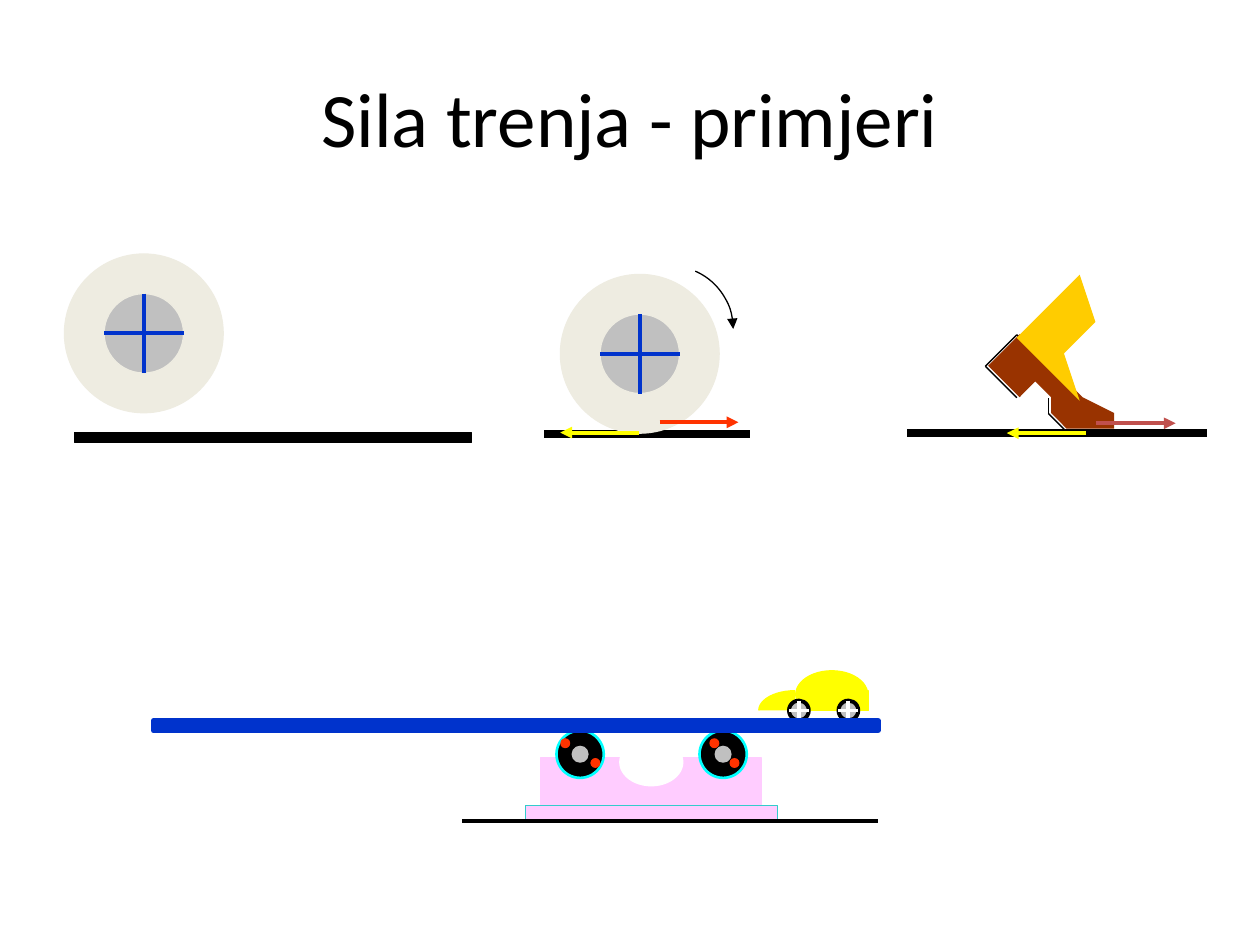
from dataclasses import dataclass

from lxml import etree
from pptx import Presentation
from pptx.dml.color import RGBColor
from pptx.enum.shapes import MSO_CONNECTOR, MSO_SHAPE
from pptx.enum.text import MSO_ANCHOR, PP_ALIGN
from pptx.oxml.ns import qn
from pptx.util import Pt

RECT, OVAL, ARC = MSO_SHAPE.RECTANGLE, MSO_SHAPE.OVAL, MSO_SHAPE.ARC
STRAIGHT = MSO_CONNECTOR.STRAIGHT
MIDDLE, CENTER = MSO_ANCHOR.MIDDLE, PP_ALIGN.CENTER


@dataclass(frozen=True)
class Theme:
    font: str = "Calibri"
    title_size: int = 44
    thin: float = 0.75
    rim: float = 1.5
    medium: float = 2.25
    beam: float = 3
    ground: float = 4.5
    black: str = "000000"
    white: str = "FFFFFF"
    grey: str = "C0C0C0"
    tyre: str = "EEECE1"
    blue: str = "0033CC"
    cyan: str = "00FFFF"
    teal: str = "33CCCC"
    pink: str = "FFCCFF"
    yellow: str = "FFFF00"
    red: str = "FF3300"
    rose: str = "C0504D"
    boot: str = "993300"
    trousers: str = "FFCC00"


T = Theme()
GRID = 9  # step of the leg outline, in points
BOOT = [(2, 0), (6, 4), (8, 5), (8, 6), (5, 6), (4, 5), (4, 4), (3, 3), (2, 4), (0, 2)]
TROUSERS = [(3, 1), (0, 4), (4, 8), (3, 5), (5, 3), (4, 0)]
BOOT_EDGES = [
    ((5, 6), (8, 6)), ((5, 6), (4, 5)), ((4, 5), (4, 4)), ((2, 4), (0, 2)),
    ((0, 2), (2, 0)), ((2, 0), (6, 4)), ((5, 1), (6, 0)),
]


def paint(sp, fill=None, line=None, width=T.thin):
    sp.shadow.inherit = False
    if fill:
        sp.fill.solid()
        sp.fill.fore_color.rgb = RGBColor.from_string(fill)
    else:
        sp.fill.background()
    if line:
        sp.line.color.rgb = RGBColor.from_string(line)
        sp.line.width = Pt(width)
    else:
        sp.line.fill.background()


def add_arrowhead(sp):
    ln = sp._element.spPr.find(qn("a:ln"))
    etree.SubElement(ln, qn("a:tailEnd"), type="triangle")


def add_box(shapes, kind, x, y, w, h, *look):
    sp = shapes.add_shape(kind, Pt(x), Pt(y), Pt(w), Pt(h))
    paint(sp, *look)
    return sp


def add_disc(shapes, cx, cy, d, *look):
    add_box(shapes, OVAL, cx - d / 2, cy - d / 2, d, d, *look)


def add_arc(shapes, cx, cy, rx, ry, start, end, *look):
    """Clockwise arc; angles in degrees from the positive x axis."""
    sp = add_box(shapes, ARC, cx - rx, cy - ry, 2 * rx, 2 * ry, *look)
    for i, angle in enumerate((start, end)):
        sp.adjustments[i] = angle * 0.6
    return sp


def add_line(shapes, x1, y1, x2, y2, color, width=T.medium, arrow=False):
    cxn = shapes.add_connector(STRAIGHT, Pt(x1), Pt(y1), Pt(x2), Pt(y2))
    cxn.line.color.rgb = RGBColor.from_string(color)
    cxn.line.width = Pt(width)
    if arrow:
        add_arrowhead(cxn)
    etree.SubElement(cxn._element.spPr, qn("a:effectLst"))


def add_outline(shapes, x, y, grid_points, fill):
    points = [(Pt(x + GRID * i), Pt(y + GRID * j)) for i, j in grid_points]
    builder = shapes.build_freeform(*points[0])
    builder.add_line_segments(points[1:], close=True)
    paint(builder.convert_to_shape(), fill)


def add_cross(shapes, cx, cy, d, color):
    r = d / 2
    add_line(shapes, cx, cy - r, cx, cy + r, color)
    add_line(shapes, cx - r, cy, cx + r, cy, color)


def add_tyre(shapes, cx, cy):
    group = shapes.add_group_shape().shapes
    add_disc(group, cx, cy, 90.7, T.tyre, T.tyre)
    add_disc(group, cx, cy, 45.4, T.grey, T.tyre)
    add_cross(group, cx, cy, 45.4, T.blue)


def add_roller(shapes, cx, cy, bolts):
    group = shapes.add_group_shape().shapes
    add_disc(group, cx, cy, 27, T.black, T.cyan, T.rim)
    add_disc(group, cx, cy, 9, T.grey, T.grey)
    for dx, dy in bolts:
        add_disc(group, cx + dx, cy + dy, 5.7, T.red)


def add_car_wheel(shapes, cx, cy):
    group = shapes.add_group_shape().shapes
    add_disc(group, cx, cy, 11.3, T.grey, T.black, T.medium)
    add_cross(group, cx, cy, 11.3, T.white)


def add_car_body(shapes):
    group = shapes.add_group_shape().shapes
    look = (T.yellow, T.yellow)
    add_arc(group, 454.3, 406, 20.7, 11.3, 180, 270, *look)
    add_arc(group, 486, 406, 10.2, 11.3, 270, 0, *look)
    add_box(group, RECT, 455, 394.6, 41, 11.4, *look)
    add_arc(group, 475.3, 397, 20.6, 13.7, 172, 3, *look)


def add_stand(shapes):
    group = shapes.add_group_shape().shapes
    add_box(group, RECT, 309, 433.2, 126, 27, T.pink, T.pink)
    add_box(group, RECT, 300.2, 460.2, 144, 8.8, T.pink, T.teal)
    add_line(group, 264.2, 469.2, 502, 469.2, T.black)


def add_title(slide, text):
    title = slide.shapes.title
    place = {"left": Pt(36), "top": Pt(21.6), "width": Pt(648), "height": Pt(90)}
    for name, value in place.items():
        setattr(title, name, value)
    tf = title.text_frame
    tf.text = text
    tf.vertical_anchor = MIDDLE
    p = tf.paragraphs[0]
    p.alignment = CENTER
    for name, value in {"name": T.font, "size": Pt(T.title_size)}.items():
        setattr(p.font, name, value)
    p.font.color.rgb = RGBColor.from_string(T.black)


def draw_leg(shapes):
    add_line(shapes, 518.4, 247.5, 689.8, 247.5, T.black, T.ground)
    x, y = 563.1, 191.3
    for (i1, j1), (i2, j2) in BOOT_EDGES:
        add_line(shapes, x + GRID * i1, y + GRID * j1,
                 x + GRID * i2, y + GRID * j2, T.black, T.thin)
    add_outline(shapes, 564.6, 191, BOOT, T.boot)
    add_line(shapes, 620.6, 247.5, 575.3, 247.5, T.yellow, arrow=True)
    add_line(shapes, 626.4, 241.9, 671.8, 241.9, T.rose, arrow=True)
    add_outline(shapes, 581, 157, TROUSERS, T.trousers)


def draw_platform(shapes):
    add_stand(shapes)
    add_car_body(shapes)
    add_box(shapes, OVAL, 354.2, 422, 36, 27, T.white, T.white)
    add_roller(shapes, 413.2, 431, [(-5, -6.3), (6.5, 5)])
    add_roller(shapes, 331.5, 431, [(-8.5, -6.3), (8.7, 5)])
    for cx in (456.5, 484.8):
        add_car_wheel(shapes, cx, 406)
    add_box(shapes, RECT, 87.8, 411.8, 414, 5.7, T.blue, T.blue, T.beam)


def draw_rolling_tyre(shapes):
    add_tyre(shapes, 365.6, 202.2)
    add_line(shapes, 377, 241.3, 422, 241.3, T.red, arrow=True)
    add_line(shapes, 365.3, 247.2, 320.2, 247.2, T.yellow, arrow=True)


def main():
    prs = Presentation()
    prs.slide_width, prs.slide_height = Pt(720), Pt(540)
    slide = prs.slides.add_slide(prs.slide_layouts[5])
    shapes = slide.shapes
    add_title(slide, "Sila trenja - primjeri")
    draw_leg(shapes)
    add_line(shapes, 311, 248.2, 428.4, 248.2, T.black, T.ground)
    turn = add_arc(shapes, 383, 188, 36, 36, 293.5, 0, None, T.black)
    add_arrowhead(turn)
    draw_platform(shapes)
    add_tyre(shapes, 82.2, 190.5)
    add_box(shapes, RECT, 42.6, 247.2, 226.8, 5.7, T.black, T.black)
    draw_rolling_tyre(shapes)
    prs.save("out.pptx")


if __name__ == "__main__":
    main()
